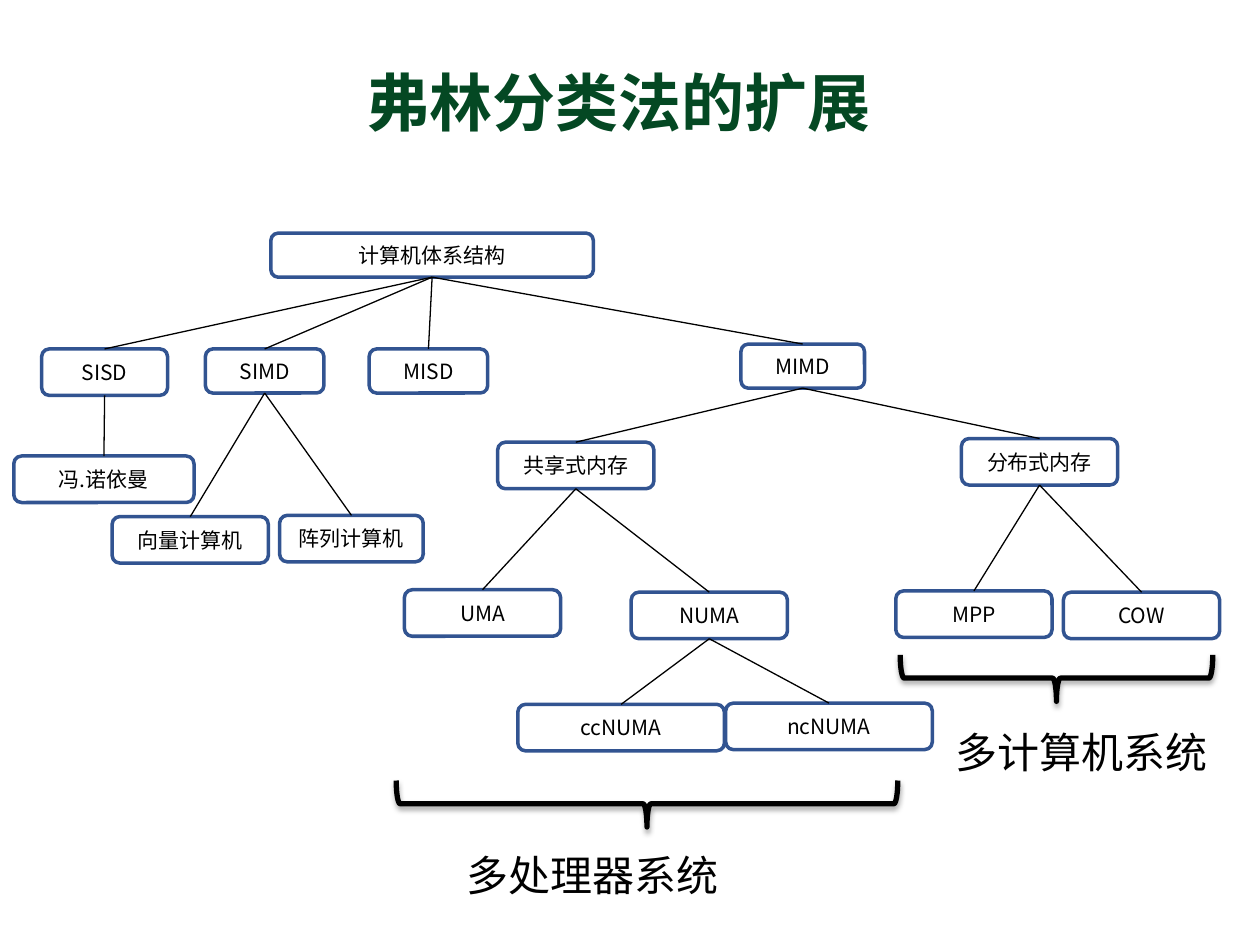
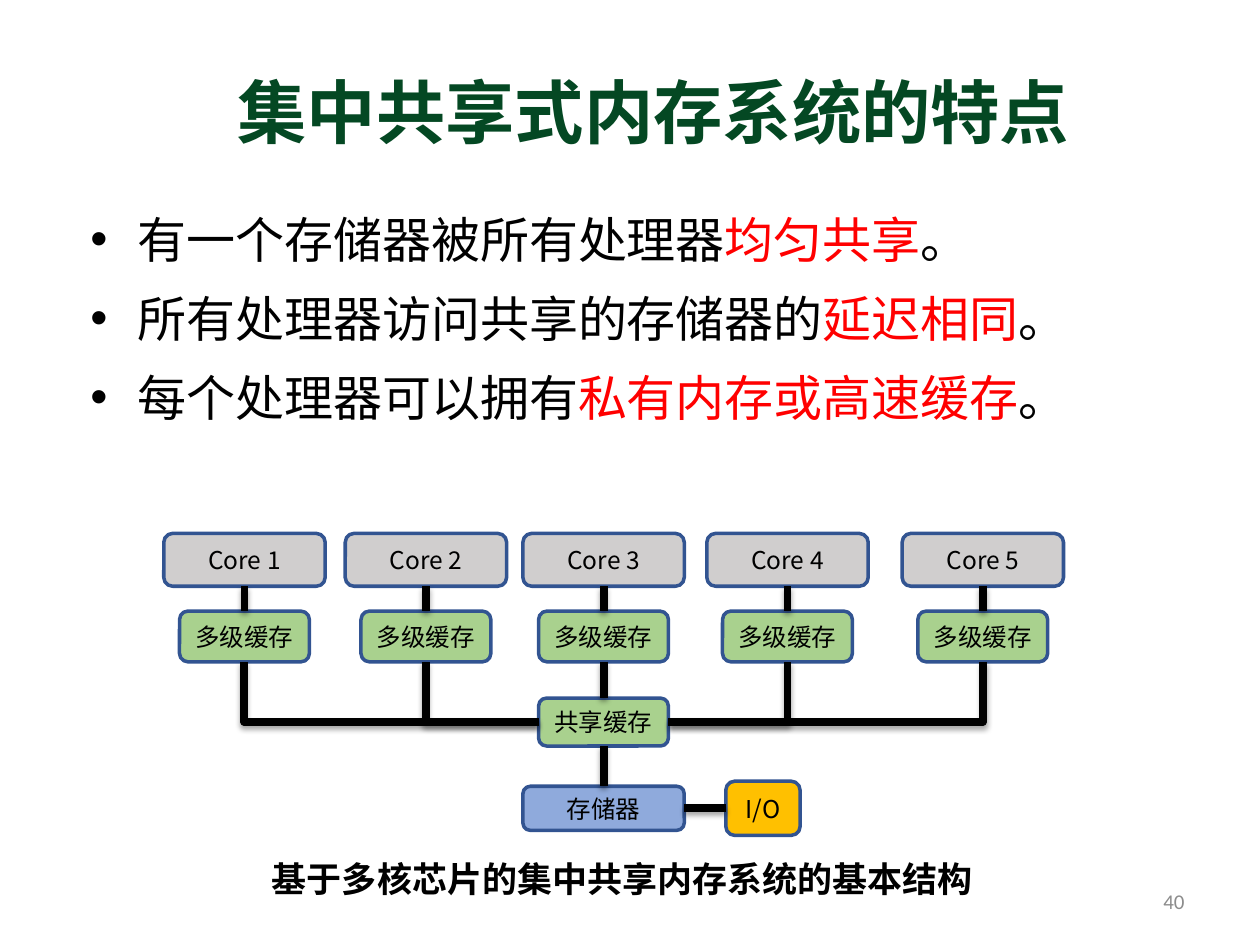
from typing import NamedTuple

from lxml.etree import SubElement
from pptx import Presentation
from pptx.dml.color import RGBColor
from pptx.enum.shapes import MSO_CONNECTOR, MSO_SHAPE
from pptx.enum.text import MSO_ANCHOR, PP_ALIGN
from pptx.oxml.ns import qn
from pptx.shapes.autoshape import Shape
from pptx.shapes.connector import Connector
from pptx.slide import Slide
from pptx.text.text import _Run
from pptx.util import Pt

COLORS = {
    "title": "044823",
    "text": "000000",
    "accent": "FF0000",
    "number": "8C8C8C",
    "border": "325491",
    "white": "FFFFFF",
    "core": "D0CECE",
    "cache": "A9D18E",
    "memory": "8FAADC",
    "io": "FFC000",
}
LATIN = "Calibri"
HAN = "Noto Sans CJK SC"
TOP, LEFT, BOTTOM, RIGHT = range(4)


class Box(NamedTuple):
    text: str
    left: float
    top: float
    width: float
    height: float
    parent: str = ""
    fill: str = "white"


class Label(NamedTuple):
    text: str
    left: float
    top: float
    width: float
    height: float
    size: float
    color: str = "text"
    font: str = LATIN
    bold: bool = False
    align: PP_ALIGN = PP_ALIGN.CENTER
    anchor: MSO_ANCHOR = MSO_ANCHOR.MIDDLE


class Brace(NamedTuple):
    left: float
    top: float
    span: float
    depth: float


TREE = [
    Box("计算机体系结构", 154.8, 133.2, 184.3, 25.2),
    Box("SISD", 23.8, 199.4, 72, 26.6, "计算机体系结构"),
    Box("SIMD", 117.4, 199.4, 67.7, 25.2, "计算机体系结构"),
    Box("MISD", 211, 199.4, 67.7, 25.2, "计算机体系结构"),
    Box("MIMD", 423.4, 196.6, 70.6, 25.2, "计算机体系结构"),
    Box("冯.诺依曼", 7.9, 260.6, 103, 26.6, "SISD"),
    Box("向量计算机", 64.1, 295.2, 89.3, 26.6, "SIMD"),
    Box("阵列计算机", 159.8, 294.5, 82.1, 26.6, "SIMD"),
    Box("共享式内存", 284.4, 252.7, 89.3, 26.6, "MIMD"),
    Box("分布式内存", 549.4, 250.6, 89.3, 26.6, "MIMD"),
    Box("UMA", 231.1, 337, 89.3, 26.6, "共享式内存"),
    Box("NUMA", 360.7, 338.4, 89.3, 26.6, "共享式内存"),
    Box("MPP", 511.9, 337.7, 89.3, 26.6, "分布式内存"),
    Box("COW", 607.7, 338.4, 89.3, 26.6, "分布式内存"),
    Box("ccNUMA", 295.9, 402.5, 118.1, 26.6, "NUMA"),
    Box("ncNUMA", 414.7, 401.8, 118.1, 26.6, "NUMA"),
]
BRACES = [Brace(226.4, 446, 286.6, 26.6), Brace(514.4, 374.2, 178.6, 26.6)]
GROUPS = [
    Label("多处理器系统", 247, 481.7, 183.6, 36, 24, font=HAN),
    Label("多计算机系统", 535.7, 411.8, 164.2, 36, 24, font=HAN),
]

# Plain start, stressed words, plain end
POINTS = [
    ("有一个存储器被所有处理器", "均匀共享", "。"),
    ("所有处理器访问共享的存储器的", "延迟相同", "。"),
    ("每个处理器可以拥有", "私有内存或高速缓存", "。"),
]
CENTERS = [139.7, 243.4, 344.9, 450, 561.6]
MIDDLE = CENTERS[2]


def rgb(name: str) -> RGBColor:
    return RGBColor.from_string(COLORS[name])


def style(run: _Run, size: float, color: str = "text",
          font: str = LATIN, bold: bool = False) -> None:
    run.font.size = Pt(size)
    run.font.bold = bold
    run.font.color.rgb = rgb(color)
    run.font.name = font
    SubElement(run.font._element, qn("a:ea"), typeface=HAN)


def shade(shape: Shape | Connector) -> None:
    """Give the shape a soft shadow straight below it."""
    effects = shape._element.spPr.find(qn("a:effectLst"))
    shadow = SubElement(effects, qn("a:outerShdw"), blurRad=str(Pt(3.1)),
                        dist=str(Pt(1.8)), dir="5400000", rotWithShape="0")
    color = SubElement(shadow, qn("a:srgbClr"), val=COLORS["text"])
    SubElement(color, qn("a:alpha"), val="35000")


def add_label(slide: Slide, label: Label) -> None:
    shape = slide.shapes.add_textbox(Pt(label.left), Pt(label.top),
                                     Pt(label.width), Pt(label.height))
    frame = shape.text_frame
    frame.word_wrap = True
    frame.vertical_anchor = label.anchor
    frame.text = label.text
    frame.paragraphs[0].alignment = label.align
    style(frame.paragraphs[0].runs[0], label.size, label.color,
          label.font, label.bold)


def add_title(slide: Slide, text: str, left: float, top: float,
              width: float, size: float) -> None:
    add_label(slide, Label(text, left, top, width, 90, size, "title", bold=True))


def add_box(slide: Slide, box: Box, size: float) -> Shape:
    shape = slide.shapes.add_shape(
        MSO_SHAPE.ROUNDED_RECTANGLE, Pt(box.left), Pt(box.top),
        Pt(box.width), Pt(box.height))
    shape.shadow.inherit = False
    shape.fill.solid()
    shape.fill.fore_color.rgb = rgb(box.fill)
    shape.line.color.rgb = rgb("border")
    shape.line.width = Pt(2)
    frame = shape.text_frame
    frame.margin_left = frame.margin_right = 0
    frame.margin_top = frame.margin_bottom = 0
    frame.word_wrap = False
    frame.vertical_anchor = MSO_ANCHOR.MIDDLE
    frame.text = box.text
    frame.paragraphs[0].alignment = PP_ALIGN.CENTER
    style(frame.paragraphs[0].runs[0], size, font=HAN)
    return shape


def add_brace(slide: Slide, brace: Brace) -> None:
    """Draw a brace that points down, by turning a left brace."""
    shift = (brace.span - brace.depth) / 2
    shape = slide.shapes.add_shape(
        MSO_SHAPE.LEFT_BRACE, Pt(brace.left + shift), Pt(brace.top - shift),
        Pt(brace.depth), Pt(brace.span))
    shape.rotation = 270
    shape.fill.background()
    shape.line.color.rgb = rgb("text")
    shape.line.width = Pt(3)
    shape.shadow.inherit = False
    shade(shape)


def add_line(slide: Slide, kind: MSO_CONNECTOR, width: float) -> Connector:
    line = slide.shapes.add_connector(kind, 0, 0, 0, 0)
    line.line.color.rgb = rgb("text")
    line.line.width = Pt(width)
    SubElement(line._element.spPr, qn("a:effectLst"))
    return line


def link(slide: Slide, start: Shape, end: Shape, width: float,
         sides: tuple[int, int] = (BOTTOM, TOP)) -> Connector:
    line = add_line(slide, MSO_CONNECTOR.STRAIGHT, width)
    line.begin_connect(start, sides[0])
    line.end_connect(end, sides[1])
    return line


def bend(slide: Slide, hub: Shape, cache: Shape) -> None:
    """Run a line sideways from the hub, then up to the cache."""
    line = add_line(slide, MSO_CONNECTOR.ELBOW, 4.5)
    line._element.spPr.find(qn("a:prstGeom")).set("prst", "bentConnector2")
    line.begin_x = hub.left if cache.left < hub.left else hub.left + hub.width
    line.begin_y = hub.top + hub.height // 2
    line.end_x = cache.left + cache.width // 2
    line.end_y = cache.top + cache.height
    shade(line)


def add_points(slide: Slide) -> None:
    shape = slide.shapes.add_textbox(Pt(44.6), Pt(116), Pt(641.5), Pt(150))
    frame = shape.text_frame
    frame.word_wrap = True
    for index, parts in enumerate(POINTS):
        para = frame.paragraphs[0] if index == 0 else frame.add_paragraph()
        props = para._p.get_or_add_pPr()
        props.set("marL", str(Pt(27)))
        props.set("indent", str(-Pt(27)))
        SubElement(props, qn("a:buFont"), typeface="Arial")
        SubElement(props, qn("a:buChar"), char="•")
        para.space_before = Pt(5.6 if index else 0)
        para.space_after = Pt(6)
        for text, color in zip(parts, ("text", "accent", "text")):
            run = para.add_run()
            run.text = text
            style(run, 28, color)


def draw_tree(slide: Slide) -> None:
    add_title(slide, "弗林分类法的扩展", 38.2, 13, 630, 36)
    shapes = {box.text: add_box(slide, box, 12) for box in TREE}
    for box in TREE:
        if box.parent:
            link(slide, shapes[box.parent], shapes[box.text], 0.75)
    for brace in BRACES:
        add_brace(slide, brace)
    for label in GROUPS:
        add_label(slide, label)


def draw_cores(slide: Slide) -> None:
    add_title(slide, "集中共享式内存系统的特点", 121, 18, 504.7, 39.6)
    add_points(slide)

    def block(text: str, center: float, top: float, width: float,
              height: float, fill: str) -> Shape:
        box = Box(text, center - width / 2, top, width, height, fill=fill)
        return add_box(slide, box, 14)

    def wire(start: Shape, end: Shape,
             sides: tuple[int, int] = (BOTTOM, TOP)) -> None:
        shade(link(slide, start, end, 4.5, sides))

    hub = block("共享缓存", MIDDLE, 398.9, 74.2, 27.4, "cache")
    memory = block("存储器", MIDDLE, 449.3, 92.2, 25.2, "memory")
    port = block("I/O", 436, 446.4, 42.5, 31, "io")
    for number, center in enumerate(CENTERS, 1):
        core = block(f"Core {number}", center, 304.8, 92.2, 30.2, "core")
        cache = block("多级缓存", center, 349.2, 74.2, 29, "cache")
        wire(core, cache)
        if center == MIDDLE:
            wire(cache, hub)
        else:
            bend(slide, hub, cache)
    wire(hub, memory)
    wire(memory, port, (RIGHT, LEFT))

    add_label(slide, Label("基于多核芯片的集中共享内存系统的基本结构",
                           148.3, 486.7, 568, 31.7, 20, bold=True,
                           align=PP_ALIGN.LEFT, anchor=MSO_ANCHOR.TOP))
    add_label(slide, Label("40", 516.2, 500.4, 167.8, 28.8, 12, "number",
                           align=PP_ALIGN.RIGHT))


def main() -> None:
    deck = Presentation()
    deck.slide_width, deck.slide_height = Pt(720), Pt(540)
    for draw in (draw_tree, draw_cores):
        draw(deck.slides.add_slide(deck.slide_layouts[6]))
    deck.save("out.pptx")


if __name__ == "__main__":
    main()
